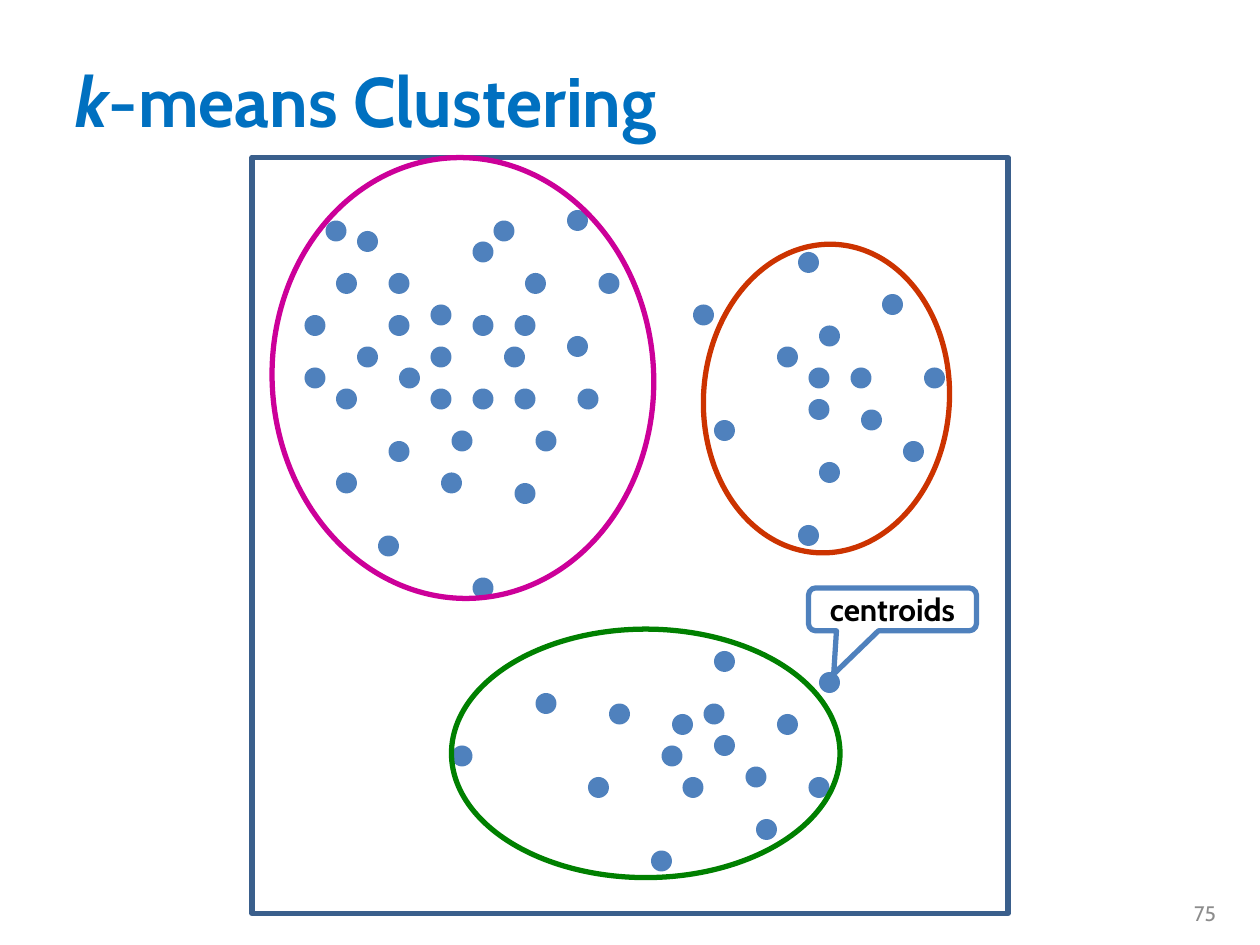
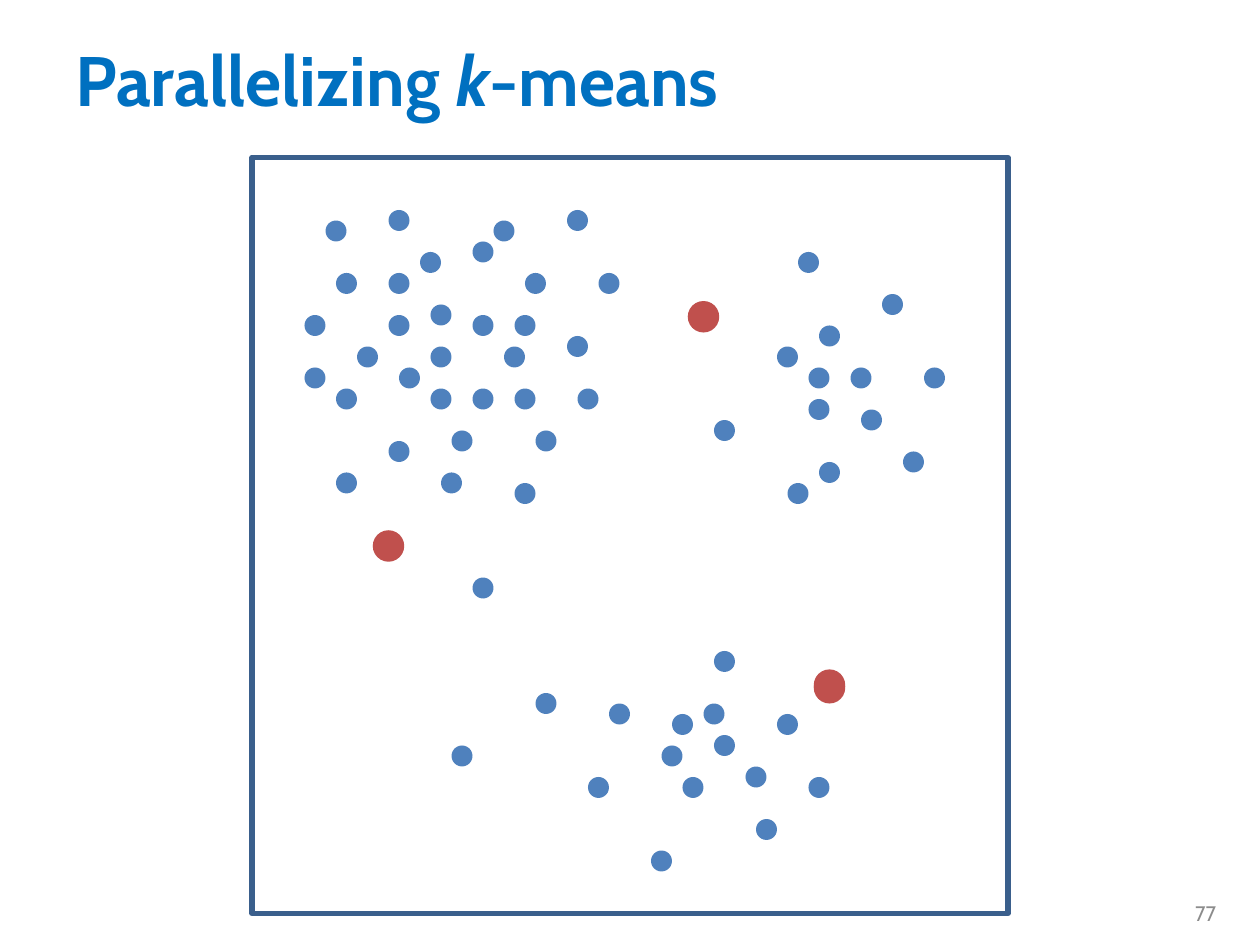
from dataclasses import dataclass

from pptx import Presentation
from pptx.dml.color import RGBColor
from pptx.enum.shapes import MSO_SHAPE
from pptx.enum.text import MSO_ANCHOR, MSO_AUTO_SIZE, PP_ALIGN
from pptx.util import Pt


@dataclass(frozen=True)
class Theme:
    font: str = "Cabin"
    title: str = "0070C0"
    frame: str = "3A5F8C"
    dot: str = "4F81BD"
    centroid: str = "C0504D"
    text: str = "000000"
    number: str = "8C8C8C"
    title_size: int = 40
    label_size: int = 18
    number_size: int = 12
    line: int = 3
    grid: int = 6
    dot_size: int = 12
    centroid_size: int = 18


UPPER_LEFT = [
    (31, 21), (47, 21), (54, 20), (45, 23), (32, 26), (37, 26), (50, 26), (57, 26),
    (41, 29), (29, 30), (37, 30), (45, 30), (49, 30), (54, 32), (34, 33), (41, 33),
    (48, 33), (29, 35), (38, 35), (32, 37), (41, 37), (45, 37), (49, 37), (55, 37),
    (43, 41), (51, 41), (37, 42), (32, 45), (42, 45), (49, 46), (45, 55),
]
RIGHT = [
    (76, 24), (84, 28), (78, 31), (74, 33), (77, 35), (81, 35), (88, 35), (77, 38),
    (82, 39), (68, 40), (78, 44),
]
BOTTOM = [
    (68, 62), (51, 66), (58, 67), (67, 67), (64, 68), (74, 68), (68, 70), (43, 71),
    (63, 71), (71, 73), (56, 74), (65, 74), (77, 74), (72, 78), (62, 81),
]
SHARED_DOTS = UPPER_LEFT + RIGHT + BOTTOM
CLUSTERING_DOTS = [(34, 22), (66, 29), (86, 42), (76, 50), (36, 51), (78, 64)]
PARALLEL_DOTS = [(37, 20), (40, 24), (86, 43), (75, 46)]
CENTROIDS = [(393, 172), (213, 303), (465, 382.5), (465, 384)]
CLUSTER_RINGS = [
    ((155.5, 90, 218, 252), 356.8, "CC0099"),
    ((402, 139.5, 140.5, 176.5), 3.7, "CC3300"),
    ((298, 319.5, 142, 222), 90, "008000"),
]


class Deck:
    def __init__(self, theme):
        self.theme = theme
        self.prs = Presentation()
        self.prs.slide_width, self.prs.slide_height = Pt(720), Pt(540)
        self.s = None

    def slide(self, title, title_top, number):
        t = self.theme
        self.s = self.prs.slides.add_slide(self.prs.slide_layouts[6])
        self.text((36, title_top, 648, 90), title, t.title, size=Pt(t.title_size), bold=True)
        self.shape(MSO_SHAPE.RECTANGLE, (144, 90, 432, 432), line=t.frame)
        self.text((534, 507.5, 168, 29), [(number, False)], t.number, PP_ALIGN.RIGHT,
                  size=Pt(t.number_size))

    def add_runs(self, tf, runs, color, align, **style):
        p = tf.paragraphs[0]
        p.alignment = align
        for words, italic in runs:
            r = p.add_run()
            r.text = words
            for name, value in {"name": self.theme.font, "italic": italic, **style}.items():
                setattr(r.font, name, value)
            r.font.color.rgb = RGBColor.from_string(color)

    def text(self, box, runs, color, align=PP_ALIGN.LEFT, **style):
        tf = self.s.shapes.add_textbox(*map(Pt, box)).text_frame
        tf.word_wrap = True
        tf.vertical_anchor = MSO_ANCHOR.MIDDLE
        self.add_runs(tf, runs, color, align, **style)

    def shape(self, kind, box, fill=None, line=None):
        sp = self.s.shapes.add_shape(kind, *map(Pt, box))
        sp.shadow.inherit = False
        if fill:
            sp.fill.solid()
            sp.fill.fore_color.rgb = RGBColor.from_string(fill)
        else:
            sp.fill.background()
        if line:
            sp.line.color.rgb = RGBColor.from_string(line)
            sp.line.width = Pt(self.theme.line)
        else:
            sp.line.fill.background()
        return sp

    def dots(self, cells):
        t = self.theme
        for col, row in cells:
            box = (col * t.grid, row * t.grid, t.dot_size, t.dot_size)
            self.shape(MSO_SHAPE.OVAL, box, fill=t.dot)

    def centroids(self, places):
        size = self.theme.centroid_size
        for left, top in places:
            self.shape(MSO_SHAPE.OVAL, (left, top, size, size), fill=self.theme.centroid)

    def ring(self, box, rotation, color):
        self.shape(MSO_SHAPE.OVAL, box, line=color).rotation = rotation

    def callout(self, box, words, adjustments):
        t = self.theme
        sp = self.shape(MSO_SHAPE.ROUNDED_RECTANGULAR_CALLOUT, box, line=t.dot)
        for i, value in enumerate(adjustments):
            sp.adjustments[i] = value
        tf = sp.text_frame
        layout = {"margin_left": 0, "margin_top": 0, "margin_right": 0, "margin_bottom": 0,
                  "word_wrap": True, "vertical_anchor": MSO_ANCHOR.TOP,
                  "auto_size": MSO_AUTO_SIZE.SHAPE_TO_FIT_TEXT}
        for name, value in layout.items():
            setattr(tf, name, value)
        self.add_runs(tf, [(words, False)], t.text, PP_ALIGN.CENTER,
                      size=Pt(t.label_size), bold=True)


def main():
    deck = Deck(Theme())

    deck.slide([("k", True), ("-means Clustering", False)], 12, "75")
    deck.dots(SHARED_DOTS + CLUSTERING_DOTS)
    for ring in CLUSTER_RINGS:
        deck.ring(*ring)
    deck.callout((462, 336, 96, 24.5), "centroids", (-0.35, 1.51, 0.17))

    deck.slide([("Parallelizing ", False), ("k", True), ("-means", False)], 0, "77")
    deck.dots(SHARED_DOTS + PARALLEL_DOTS)
    deck.centroids(CENTROIDS)

    deck.prs.save("out.pptx")


if __name__ == "__main__":
    main()
